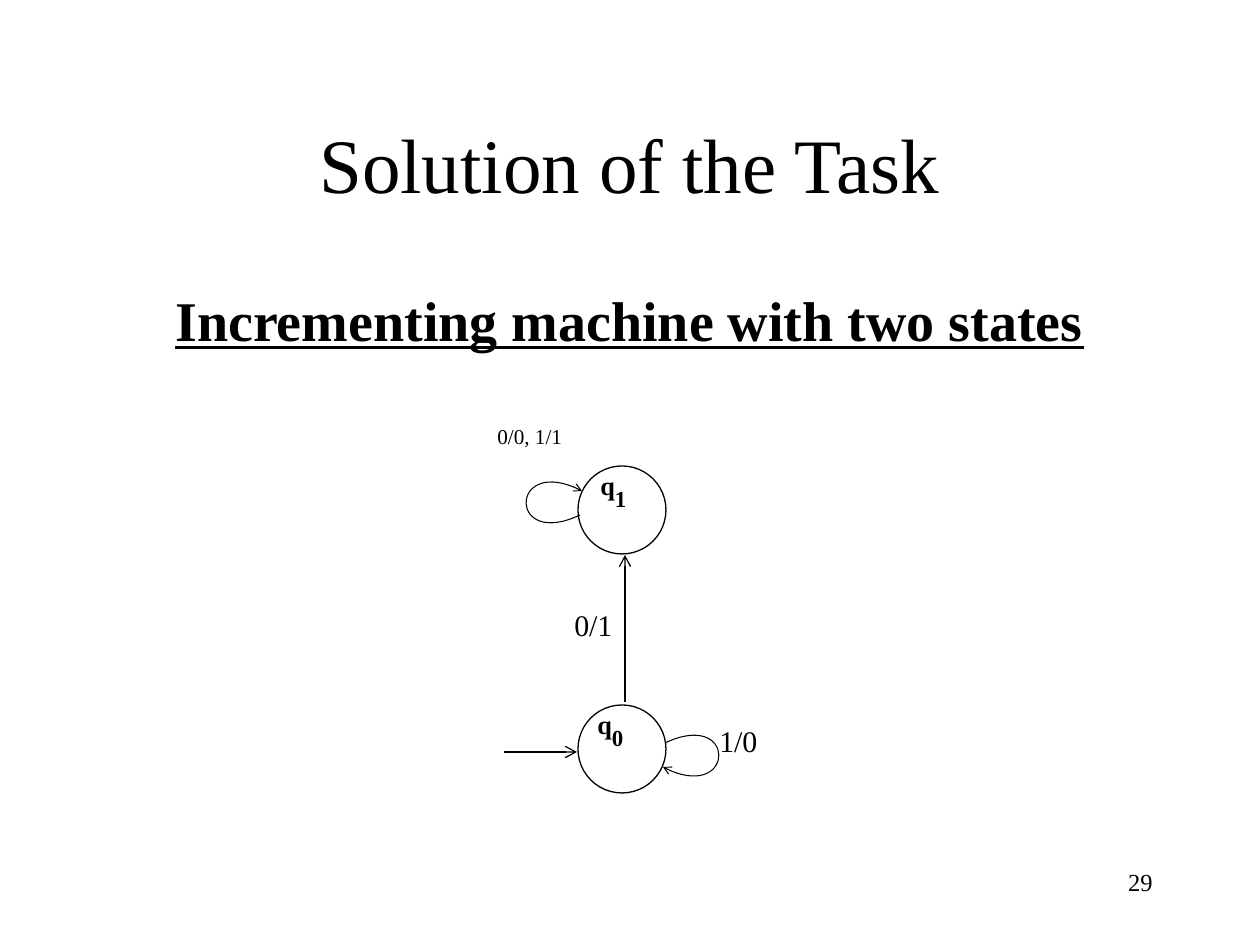
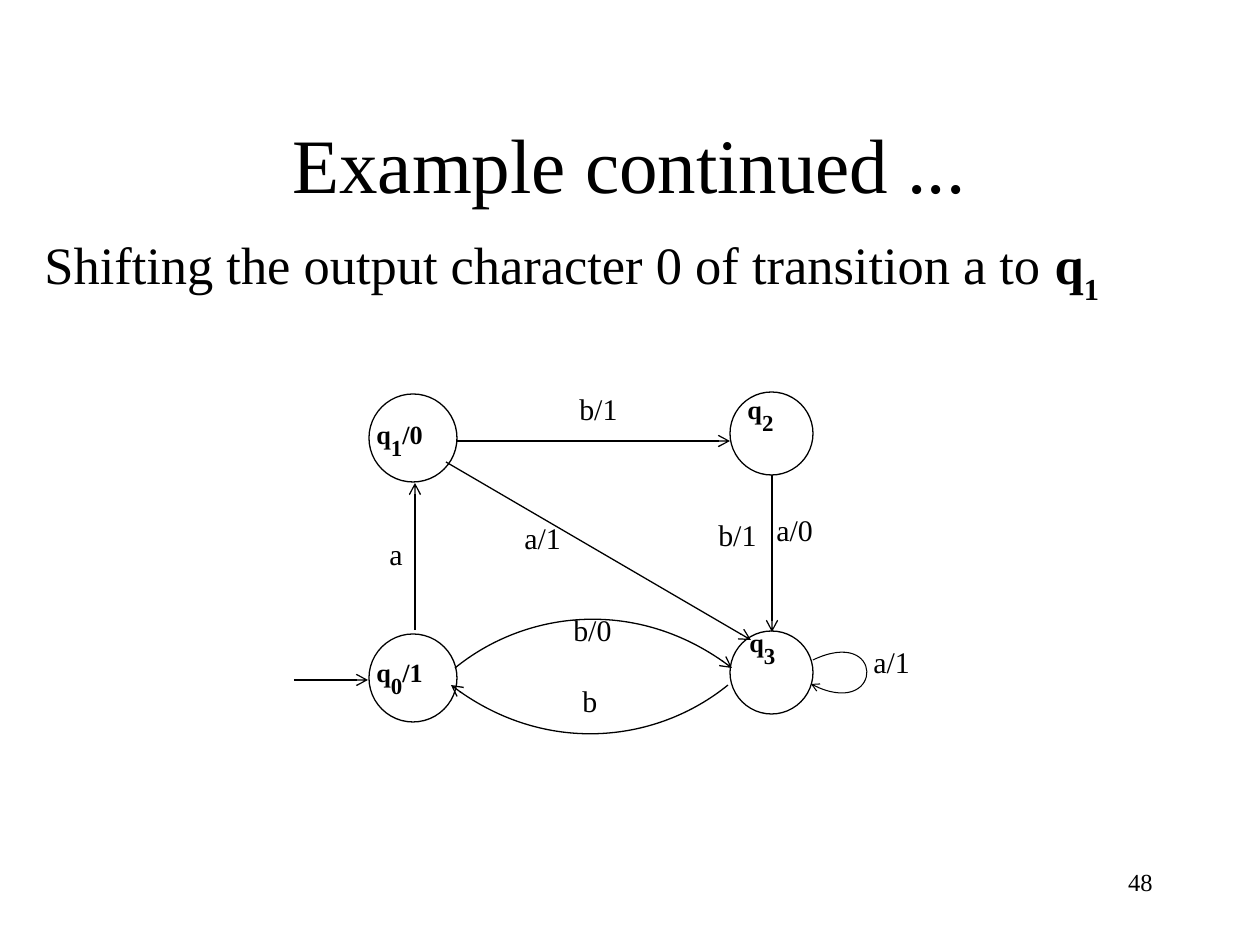
from lxml import etree
from pptx import Presentation
from pptx.dml.color import RGBColor
from pptx.enum.shapes import MSO_CONNECTOR, MSO_SHAPE
from pptx.enum.text import MSO_ANCHOR, PP_ALIGN
from pptx.oxml.ns import qn
from pptx.util import Pt

STRAIGHT = MSO_CONNECTOR.STRAIGHT
OVAL = MSO_SHAPE.OVAL
MIDDLE = MSO_ANCHOR.MIDDLE
LEFT, CENTER, RIGHT = PP_ALIGN.LEFT, PP_ALIGN.CENTER, PP_ALIGN.RIGHT

PX = 914400 / 126
FONT = "Times New Roman"
INK = RGBColor.from_string("000000")
PAPER = RGBColor.from_string("FFFFFF")

TITLE_BOX = (94, 84, 1071, 158)
NUMBER_BOX = (903, 861, 262, 63)
LABEL_SIZE = (127, 52)
STATE_NAME_SIZE = (121, 57)

# Self-loop from its start to its tip, relative to the tip, opening to the right
LOOP = [(2, -24), (73, -58), (73, 38), (0, 0)]

# A run is (text, points, bold, subscript).
# State: circle left, top, diameter; name left, top; index; output.
# Label: text, left, top, points. Loop: tip x, tip y, side (1 right, -1 left).
machines = [
    dict(
        title="Solution of the Task",
        number="29",
        heading=[("Incrementing machine with two states", 32, True, False)],
        heading_box=(94, 279, 1071, 70),
        heading_align=CENTER,
        underline=True,
        states=[
            (578, 705, 88, 585, 693, "0", ""),
            (578, 466, 88, 588, 454, "1", ""),
        ],
        arrows=[(625, 702, 625, 555), (504, 752, 577, 752)],
        arcs=[],
        loops=[(663, 767, 1), (582, 491, -1)],
        labels=[
            ("0/1", 562, 607, 17.1),
            ("1/0", 707, 723, 17.1),
            ("0/0, 1/1", 485, 422, 12.1),
        ],
    ),
    dict(
        title="Example continued ...",
        number="48",
        heading=[
            ("Shifting the output character 0 of transition a to ", 30, False, False),
            ("q", 30, True, False),
            ("1", 30, True, True),
        ],
        heading_box=(32, 226, 1197, 87),
        heading_align=LEFT,
        underline=False,
        states=[
            (369, 634, 88, 364, 641, "0", "/1"),
            (369, 394, 88, 364, 403, "1", "/0"),
            (730, 392, 83, 735, 378, "2", ""),
            (730, 631, 83, 737, 611, "3", ""),
        ],
        arrows=[
            (457, 441, 730, 441),
            (772, 475, 772, 632),
            (415, 630, 415, 483),
            (446, 462, 751, 640),
            (294, 680, 368, 680),
        ],
        arcs=[
            [(728, 685), (658, 742), (543, 756), (451, 685)],
            [(455, 668), (525, 611), (640, 597), (732, 668)],
        ],
        loops=[(811, 684, 1)],
        labels=[
            ("a", 377, 536, 17.1),
            ("b", 570, 683, 17.1),
            ("a/1", 512, 520, 17.1),
            ("a/0", 764, 512, 17.1),
            ("a/1", 861, 644, 17.1),
            ("b/0", 561, 612, 17.1),
            ("b/1", 706, 517, 17.1),
            ("b/1", 567, 391, 17.1),
        ],
    ),
]


def add_text(slide, box, runs, align=LEFT, spacing=1.0, underline=False):
    text_box = slide.shapes.add_textbox(*[round(v * PX) for v in box])
    text_box.text_frame.word_wrap = True
    paragraph = text_box.text_frame.paragraphs[0]
    paragraph.alignment = align
    paragraph.line_spacing = spacing
    for text, points, bold, subscript in runs:
        run = paragraph.add_run()
        run.text = text
        run.font.name = FONT
        run.font.size = Pt(points)
        run.font.bold = bold
        run.font.underline = underline
        run.font.color.rgb = INK
        if subscript:
            run.font._element.set("baseline", "-30000")


def draw_outline(shape, points=0.75, head=None):
    """Ink the line without a shadow; head is an arrowhead size, sm or med."""
    shape.line.color.rgb = INK
    shape.line.width = Pt(points)
    properties = shape._element.spPr
    if head:
        etree.SubElement(properties.find(qn("a:ln")), qn("a:tailEnd"),
                         type="arrow", w=head, len=head)
    etree.SubElement(properties, qn("a:effectLst"))


prs = Presentation()
prs.slide_width = round(1260 * PX)
prs.slide_height = round(945 * PX)

for machine in machines:
    slide = prs.slides.add_slide(prs.slide_layouts[5])

    title = slide.shapes.title
    title.left, title.top, title.width, title.height = [round(v * PX) for v in TITLE_BOX]
    title.text_frame.text = machine["title"]
    title.text_frame.vertical_anchor = MIDDLE
    title_line = title.text_frame.paragraphs[0]
    title_line.alignment = CENTER
    title_font = title_line.runs[0].font
    title_font.name = FONT
    title_font.size = Pt(44)
    title_font.color.rgb = INK

    add_text(slide, NUMBER_BOX, [(machine["number"], 14, False, False)], RIGHT)
    add_text(slide, machine["heading_box"], machine["heading"],
             machine["heading_align"], underline=machine["underline"])

    for left, top, diameter, name_left, name_top, index, output in machine["states"]:
        circle = slide.shapes.add_shape(
            OVAL, *[round(v * PX) for v in (left, top, diameter, diameter)])
        circle.fill.solid()
        circle.fill.fore_color.rgb = PAPER
        draw_outline(circle)
        name = [("q", 15, True, False), (index, 22.5, True, True)]
        if output:
            name.append((output, 15, True, False))
        add_text(slide, (name_left, name_top, *STATE_NAME_SIZE), name, spacing=0.8)

    for ends in machine["arrows"]:
        arrow = slide.shapes.add_connector(STRAIGHT, *[round(v * PX) for v in ends])
        draw_outline(arrow, head="med")

    curves = [(arc, 0.75, "med") for arc in machine["arcs"]]
    for tip_x, tip_y, side in machine["loops"]:
        loop = [(tip_x + side * dx, tip_y + side * dy) for dx, dy in LOOP]
        curves.append((loop, 0.6, "sm"))
    for controls, points, head in curves:
        start, *others = [(round(x * PX), round(y * PX)) for x, y in controls]
        builder = slide.shapes.build_freeform(*start)
        builder.add_line_segments(others, close=False)
        curve = builder.convert_to_shape()
        curve.fill.background()
        # Turn the three straight segments into one cubic Bézier curve
        path = curve._element.find(".//" + qn("a:path"))
        segments = path.findall(qn("a:lnTo"))
        bezier = etree.SubElement(path, qn("a:cubicBezTo"))
        for segment in segments:
            bezier.append(segment[0])
            path.remove(segment)
        draw_outline(curve, points, head)

    for text, left, top, points in machine["labels"]:
        add_text(slide, (left, top, *LABEL_SIZE), [(text, points, False, False)],
                 spacing=0.8)

prs.save("out.pptx")
